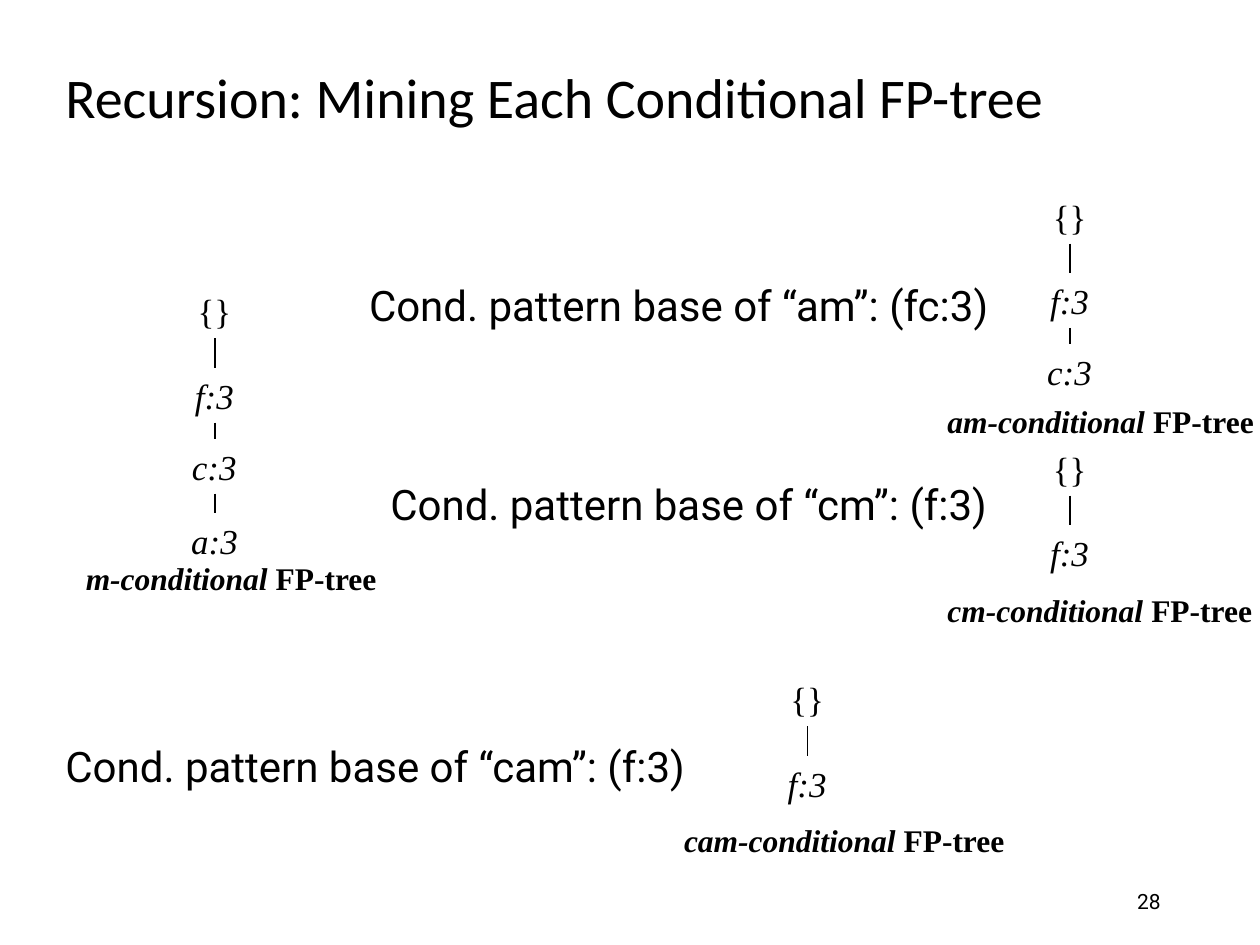
"""Build the slide on mining conditional FP-trees by recursion."""
from itertools import pairwise

from lxml.etree import SubElement
from pptx import Presentation
from pptx.dml.color import RGBColor
from pptx.enum.text import MSO_ANCHOR, MSO_AUTO_SIZE, PP_ALIGN
from pptx.oxml.ns import qn
from pptx.util import Cm, Pt

COLORS = {"ink": "000000", "page": "FFFFFF"}
TITLE = "Recursion: Mining Each Conditional FP-tree"
NUMBER = "28"
BASES = [
    ("Cond. pattern base of “am”: (fc:3)", 7.19, 5.51, 13.36),
    ("Cond. pattern base of “cm”: (f:3)", 7.62, 9.53, 12.93),
    ("Cond. pattern base of “cam”: (f:3)", 1.07, 14.81, 13.36),
]
TREES = [
    {"name": "m", "nodes": ["{}", "f:3", "c:3", "a:3"], "axis": 4.33, "top": 5.72,
     "label": (1.48, 11.15, 6.38), "group": True},
    {"name": "am", "nodes": ["{}", "f:3", "c:3"], "axis": 21.57, "top": 3.81,
     "label": (18.85, 7.98, 6.71), "group": True},
    {"name": "cm", "nodes": ["{}", "f:3"], "axis": 21.57, "top": 8.89,
     "label": (18.85, 11.79, 6.65), "group": False},
    {"name": "cam", "nodes": ["{}", "f:3"], "axis": 16.28, "top": 13.54,
     "label": (13.54, 16.43, 6.99), "group": False},
]
STEPS = [0, 1.7, 3.13, 4.62]
WIDTHS = {"{}": 1.19, "f:3": 1.3, "c:3": 1.42, "a:3": 1.45}
NODE_H = 1.1

HEAD = {"name": "Calibri", "size": Pt(32)}
BASE = {"name": "Roboto", "size": Pt(24)}
PAGE = {"name": "Roboto", "size": Pt(12)}
NODE = {"name": "Times New Roman", "size": Pt(20)}
LABEL = {"name": "Times New Roman", "size": Pt(18), "bold": True}
FIT = {"word_wrap": False, "auto_size": MSO_AUTO_SIZE.SHAPE_TO_FIT_TEXT}
WRAP = {"word_wrap": True, "vertical_anchor": MSO_ANCHOR.MIDDLE}


def apply(item, values):
    for key, value in values.items():
        setattr(item, key, value)


def write(shapes, box, runs, frame=FIT, para=None):
    text = shapes.add_textbox(*map(Cm, box)).text_frame
    apply(text, frame)
    line = text.paragraphs[0]
    apply(line, para or {})
    for words, font in runs:
        run = line.add_run()
        run.text = words
        apply(run.font, font)
        run.font.color.rgb = RGBColor.from_string(COLORS["ink"])


def link(shapes, axis, start, end):
    line = shapes.add_connector(1, Cm(axis), Cm(start), Cm(axis), Cm(end))
    line.line.color.rgb = RGBColor.from_string(COLORS["ink"])
    line.line.width = Pt(1)
    SubElement(line._element.spPr, qn("a:effectLst"))


def grow(shapes, tree):
    axis = tree["axis"]
    tops = [tree["top"] + step for step in STEPS[:len(tree["nodes"])]]
    for name, top in zip(tree["nodes"], tops):
        wide = WIDTHS[name]
        font = NODE | {"italic": name != "{}"}
        write(shapes, (axis - wide / 2, top, wide, NODE_H), [(name, font)])
    for high, low in pairwise(tops):
        link(shapes, axis, high + NODE_H, low)
    left, top, wide = tree["label"]
    runs = [(f"{tree['name']}-conditional ", LABEL | {"italic": True}),
            ("FP-tree", LABEL)]
    write(shapes, (left, top, wide, 1.02), runs)


deck = Presentation()
apply(deck, {"slide_width": Cm(25.4), "slide_height": Cm(19.05)})
slide = deck.slides.add_slide(deck.slide_layouts[6])
slide.background.fill.solid()
slide.background.fill.fore_color.rgb = RGBColor.from_string(COLORS["page"])
shapes = slide.shapes

write(shapes, (1.07, 1.07, 23.72, 1.91), [(TITLE, HEAD)], WRAP, {"line_spacing": 0.9})
write(shapes, (17.93, 17.65, 5.72, 1.02), [(NUMBER, PAGE)], WRAP,
      {"alignment": PP_ALIGN.RIGHT})
for words, left, top, wide in BASES:
    write(shapes, (left, top, wide, 1.27), [(words, BASE)])
for tree in TREES:
    grow(shapes.add_group_shape().shapes if tree["group"] else shapes, tree)

deck.save("out.pptx")
